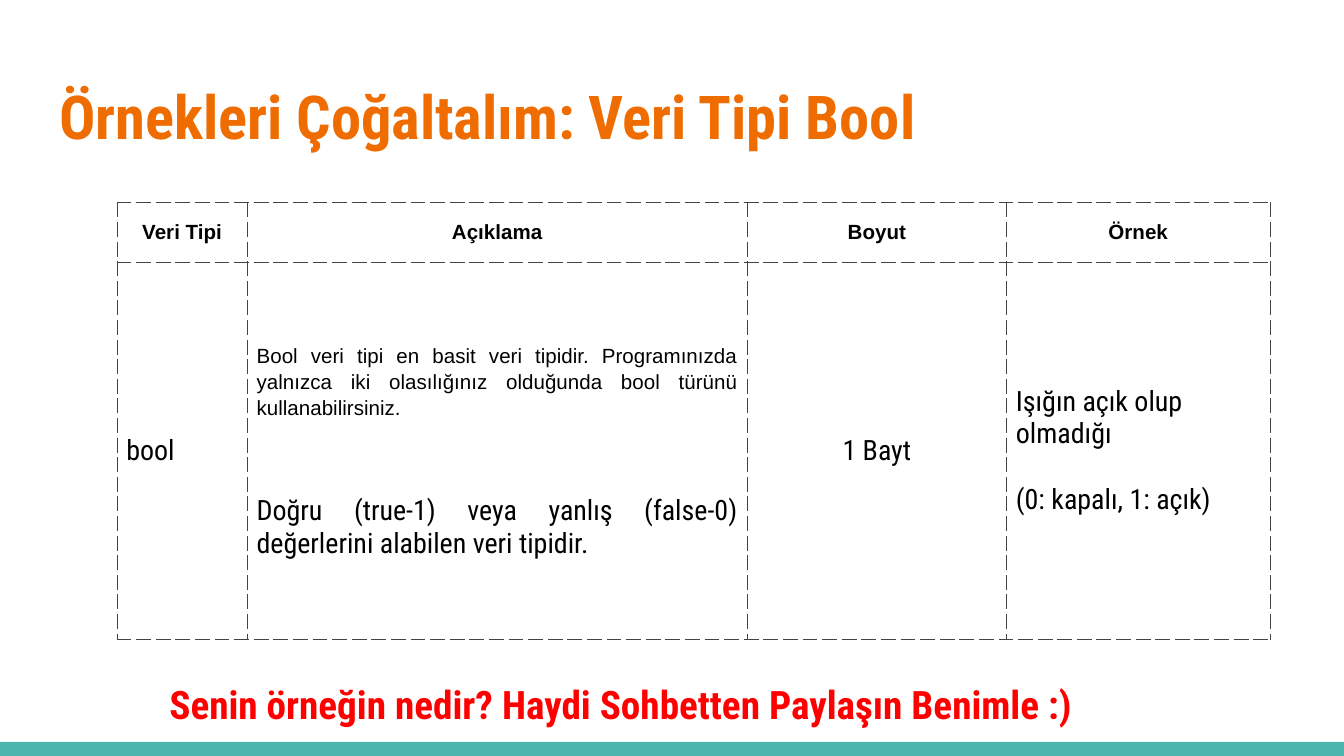
from dataclasses import dataclass

from lxml import etree
from pptx import Presentation
from pptx.dml.color import RGBColor
from pptx.enum.shapes import MSO_SHAPE
from pptx.enum.text import MSO_ANCHOR, PP_ALIGN
from pptx.oxml.ns import qn
from pptx.util import Inches, Pt

LEFT, CENTER, JUSTIFY = PP_ALIGN.LEFT, PP_ALIGN.CENTER, PP_ALIGN.JUSTIFY
TOP, MIDDLE = MSO_ANCHOR.TOP, MSO_ANCHOR.MIDDLE
RECTANGLE = MSO_SHAPE.RECTANGLE
TITLE_ONLY_LAYOUT = 5

ARIAL, ROBOTO = "Arial", "Roboto Condensed"
TEAL, ORANGE, RED, BLACK, GREY = "4DB6AC", "EF6C00", "FF0000", "000000", "434343"

SLIDE_WIDTH = 10
SLIDE_HEIGHT = SLIDE_WIDTH * 9 / 16
COLUMN_WIDTHS = (0.97, 3.72, 1.93, 1.96)
ROW_HEIGHTS = (0.44, 2.81)


@dataclass(frozen=True)
class Line:
    """One paragraph with its format; sizes and gaps are in points."""
    text: str
    size: float = 15
    font: str = ROBOTO
    color: str = BLACK
    bold: bool = False
    align: PP_ALIGN = LEFT
    spacing: float = 1.0
    gap_before: float = 0


def rgb(color: str) -> RGBColor:
    return RGBColor.from_string(color)


def set_attributes(target, values: dict) -> None:
    for name, value in values.items():
        setattr(target, name, value)


def margins(left: float, top: float, right: float, bottom: float) -> dict:
    sides = {"left": left, "top": top, "right": right, "bottom": bottom}
    return {f"margin_{side}": Inches(inset) for side, inset in sides.items()}


def write_lines(frame, lines: tuple[Line, ...]) -> None:
    for index, line in enumerate(lines):
        paragraph = frame.add_paragraph() if index else frame.paragraphs[0]
        set_attributes(paragraph, {
            "alignment": line.align,
            "line_spacing": line.spacing,
            "space_before": Pt(line.gap_before),
            "space_after": Pt(0),
        })
        run = paragraph.add_run()
        run.text = line.text
        set_attributes(run.font, {
            "name": line.font, "size": Pt(line.size), "bold": line.bold,
        })
        run.font.color.rgb = rgb(line.color)


def add_dashed_borders(cell) -> None:
    properties = cell._tc.get_or_add_tcPr()
    for side in ("lnL", "lnR", "lnT", "lnB"):
        border = etree.SubElement(properties, qn(f"a:{side}"), w=str(Pt(0.5)))
        fill = etree.SubElement(border, qn("a:solidFill"))
        etree.SubElement(fill, qn("a:srgbClr"), val=GREY)
        etree.SubElement(border, qn("a:prstDash"), val="dash")


def fill_cell(cell, lines: tuple[Line, ...]) -> None:
    add_dashed_borders(cell)
    cell.fill.background()
    set_attributes(cell, {"vertical_anchor": MIDDLE, **margins(0.07, 0, 0.07, 0)})
    write_lines(cell.text_frame, lines)


def add_footer_bar(slide) -> None:
    bar = slide.shapes.add_shape(
        RECTANGLE, 0, Inches(5.52), Inches(SLIDE_WIDTH), Inches(0.11))
    bar.shadow.inherit = False
    bar.fill.solid()
    bar.fill.fore_color.rgb = rgb(TEAL)
    bar.line.fill.background()


def set_title(slide, line: Line) -> None:
    title = slide.shapes.title
    set_attributes(title, {
        "left": Inches(0.34), "top": Inches(0.49),
        "width": Inches(9.32), "height": Inches(0.77),
    })
    set_attributes(title.text_frame, {
        "word_wrap": True, "vertical_anchor": TOP,
        **margins(0.1, 0.1, 0.1, 0.1),
    })
    write_lines(title.text_frame, (line,))


def add_question(slide, line: Line) -> None:
    question = slide.shapes.add_textbox(
        Inches(0.78), Inches(4.63), Inches(7.75), Inches(1.16))
    set_attributes(question.text_frame, {
        "word_wrap": True, "vertical_anchor": TOP,
        **margins(0.1, 0.46, 0.17, 0.1),
    })
    write_lines(question.text_frame, (line,))


def add_type_table(slide, rows: tuple[tuple[tuple[Line, ...], ...], ...]) -> None:
    table = slide.shapes.add_table(
        len(ROW_HEIGHTS), len(COLUMN_WIDTHS), Inches(0.87), Inches(1.51),
        Inches(sum(COLUMN_WIDTHS)), Inches(sum(ROW_HEIGHTS))).table
    set_attributes(table, {"first_row": False, "horz_banding": False})
    for column, width in zip(table.columns, COLUMN_WIDTHS):
        column.width = Inches(width)
    for row, height, contents in zip(table.rows, ROW_HEIGHTS, rows):
        row.height = Inches(height)
        for cell, lines in zip(row.cells, contents):
            fill_cell(cell, lines)


HEADINGS = tuple(
    (Line(heading, 11, ARIAL, bold=True, align=CENTER),)
    for heading in ("Veri Tipi", "Açıklama", "Boyut", "Örnek"))

BOOL_ROW = (
    (Line("bool", align=JUSTIFY),),
    (
        Line("Bool veri tipi en basit veri tipidir. Programınızda yalnızca iki "
             "olasılığınız olduğunda bool türünü kullanabilirsiniz.",
             11, ARIAL, align=JUSTIFY, spacing=1.15),
        Line("Doğru (true-1) veya yanlış (false-0) değerlerini alabilen veri "
             "tipidir.", align=JUSTIFY, gap_before=40),
    ),
    (Line("1 Bayt", align=CENTER),),
    (
        Line("Işığın açık olup olmadığı"),
        Line("(0: kapalı, 1: açık)", gap_before=17.6),
    ),
)


def main() -> None:
    presentation = Presentation()
    set_attributes(presentation, {
        "slide_width": Inches(SLIDE_WIDTH), "slide_height": Inches(SLIDE_HEIGHT),
    })
    slide = presentation.slides.add_slide(
        presentation.slide_layouts[TITLE_ONLY_LAYOUT])
    add_footer_bar(slide)
    set_title(slide, Line("Örnekleri Çoğaltalım: Veri Tipi Bool",
                          32.4, color=ORANGE, bold=True))
    add_question(slide, Line(
        "Senin örneğin nedir? Haydi Sohbetten Paylaşın Benimle :)",
        21, color=RED, bold=True, align=CENTER, spacing=1.15))
    add_type_table(slide, (HEADINGS, BOOL_ROW))
    presentation.save("out.pptx")


if __name__ == "__main__":
    main()
